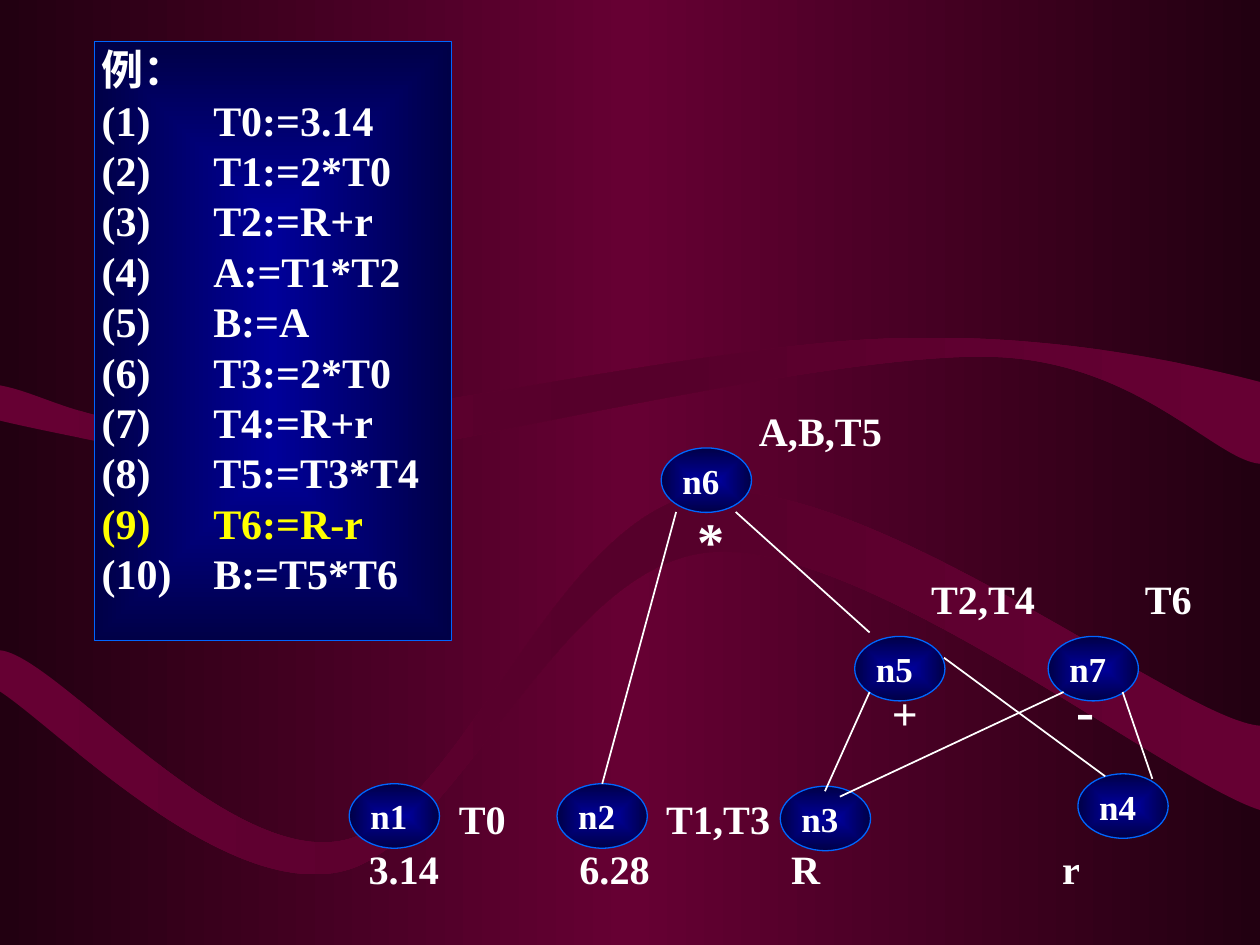
from lxml.etree import SubElement
from pptx import Presentation
from pptx.dml.color import RGBColor
from pptx.enum.shapes import MSO_CONNECTOR, MSO_SHAPE
from pptx.enum.text import MSO_ANCHOR, PP_ALIGN
from pptx.oxml import parse_xml
from pptx.oxml.ns import nsdecls, qn
from pptx.util import Cm, Pt

WHITE = RGBColor(0xFF, 0xFF, 0xFF)
YELLOW = RGBColor(0xFF, 0xFF, 0x00)
EDGE = RGBColor(0x00, 0x66, 0xFF)
NIGHT = RGBColor(0x22, 0x00, 0x11)
WINE = RGBColor(0x66, 0x00, 0x33)
PLUM = RGBColor(0x56, 0x00, 0x2B)
BLUE = RGBColor(0x00, 0x00, 0x99)
NAVY = RGBColor(0x00, 0x00, 0x47)
FONT = "Times New Roman"

HEAD = "例："
CODE = ["T0:=3.14", "T1:=2*T0", "T2:=R+r", "A:=T1*T2", "B:=A", "T3:=2*T0",
        "T4:=R+r", "T5:=T3*T4", "T6:=R-r", "B:=T5*T6"]
MARKED = 9

# Lengths are in cm.
NODE_W, NODE_H = 1.82, 1.3
NODES = {"n1": (7.04, 15.8), "n2": (11.23, 15.8), "n3": (15.73, 15.85),
         "n4": (21.73, 15.6), "n5": (17.23, 12.83), "n6": (13.33, 9.03),
         "n7": (21.13, 12.83)}
LINES = [  # start, end
    ((19.03, 13.26), (22.28, 15.65)),
    ((14.83, 10.32), (17.53, 12.75)),
    ((17.53, 13.95), (16.63, 15.95)),
    ((21.44, 13.95), (16.93, 16.06)),
    ((22.63, 13.95), (23.23, 15.7)),
]
STEM = (13.63, 10.32)  # start of the line from n6 to n2
LABELS = [  # box left, top, width, text size, then (left, text) pairs
    (3.38, 8.19, 14.6, 23, [(15.3, "A,B,T5")]),
    (13.79, 10.23, 0.9, 31, [(14.07, "*")]),
    (3.38, 11.58, 20.8, 23, [(18.77, "T2,T4"), (23.08, "T6")]),
    (17.98, 13.81, 3.5, 26, [(17.98, "+")]),
    (21.44, 13.64, 0.7, 31, [(21.71, "-")]),
    (3.38, 16.01, 12.3, 23, [(9.25, "T0"), (13.43, "T1,T3")]),
    (3.38, 17.02, 18.5, 23,
     [(7.43, "3.14"), (11.68, "6.28"), (15.95, "R"), (21.41, "r")]),
]
# Each ribbon has two long edges: a start, then cubic curves of three points.
RIBBONS = [
    [[(0, 7.77), (0, 8.48)],
     [(0.94, 8.71), (4.45, 9.4), (5.64, 9.53),
      (6.83, 9.65), (4.83, 9.63), (7.16, 9.25),
      (9.53, 8.84), (16.76, 7.16), (19.81, 7.19),
      (22.86, 7.19), (24.46, 9.27), (25.4, 9.35)],
     [(25.4, 7.7)],
     [(24.13, 7.37), (21.23, 6.68), (17.81, 6.83),
      (14.38, 6.96), (7.8, 8.43), (4.83, 8.59),
      (1.85, 8.74), (1.02, 7.95), (0, 7.77)]],
    [[(0, 13.11), (0, 13.94)],
     [(1.14, 14.68), (4.42, 18.06), (6.83, 17.58),
      (9.22, 17.12), (11.25, 11.33), (14.35, 11.13),
      (17.45, 10.9), (23.55, 15.75), (25.4, 16.33)],
     [(25.4, 14.63)],
     [(23.83, 14.53), (17.55, 9.58), (14.27, 9.93),
      (11.2, 10.31), (9.32, 16.41), (6.93, 16.94),
      (4.55, 17.45), (1.14, 13.21), (0, 13.11)]],
]


def grade(owner, fill, colors, radial=False):
    """Fill with evenly spaced colours, left to right or from the centre."""
    fill.solid()
    old = owner.find(".//" + qn("a:solidFill"))
    grad = parse_xml(f'<a:gradFill {nsdecls("a")} rotWithShape="1"/>')
    stops = SubElement(grad, qn("a:gsLst"))
    for i, color in enumerate(colors):
        stop = SubElement(stops, qn("a:gs"),
                          pos=str(100000 * i // (len(colors) - 1)))
        SubElement(stop, qn("a:srgbClr"), val=str(color))
    if radial:
        path = SubElement(grad, qn("a:path"), path="rect")
        SubElement(path, qn("a:fillToRect"), l="50000", t="50000",
                   r="50000", b="50000")
    else:
        SubElement(grad, qn("a:lin"), ang="0", scaled="1")
    old.getparent().replace(old, grad)


def bend(legs):
    """Turn each three line segments into one cubic curve."""
    for i in range(0, len(legs), 3):
        curve = parse_xml(f'<a:cubicBezTo {nsdecls("a")}/>')
        legs[i].addprevious(curve)
        for leg in legs[i:i + 3]:
            curve.append(leg[0])
            leg.getparent().remove(leg)


def ribbon(shapes, parts):
    pts = [(Cm(x), Cm(y)) for part in parts for x, y in part]
    build = shapes.build_freeform(*pts[0])
    build.add_line_segments(pts[1:], close=True)
    shape = build.convert_to_shape()
    legs = list(shape.element.iter(qn("a:lnTo")))
    mid = 1 + len(parts[1])
    bend(legs[1:mid])
    bend(legs[mid + 1:mid + 1 + len(parts[3])])
    shape.shadow.inherit = False
    grade(shape.element, shape.fill, [WINE, PLUM, WINE])
    shape.line.fill.background()


def style(para, size, color=WHITE):
    font = para.font
    font.name, font.size, font.bold = FONT, Pt(size), True
    font.color.rgb = color


def inset(frame, left, top):
    frame.margin_left = frame.margin_right = Cm(left)
    frame.margin_top = frame.margin_bottom = Cm(top)


def stops(para, spots):
    """Set left tab stops."""
    tabs = SubElement(para._p.get_or_add_pPr(), qn("a:tabLst"))
    for spot in spots:
        SubElement(tabs, qn("a:tab"), pos=str(Cm(spot)), algn="l")


def panel(shapes, kind, x, y, w, h):
    """Blue shape with a bright centre."""
    shape = shapes.add_shape(kind, Cm(x), Cm(y), Cm(w), Cm(h))
    shape.shadow.inherit = False
    grade(shape.element, shape.fill, [BLUE, NAVY], radial=True)
    shape.line.color.rgb = EDGE
    shape.line.width = Pt(0.75)
    return shape


def link(shapes, start, end):
    line = shapes.add_connector(MSO_CONNECTOR.STRAIGHT,
                                *(Cm(v) for v in start + end))
    line.line.color.rgb = WHITE
    line.line.width = Pt(1)
    SubElement(line.element.spPr, qn("a:effectLst"))
    return line


def label(shapes, x, y, width, size, items):
    """One row of words, each at its own left edge."""
    box = shapes.add_textbox(Cm(x), Cm(y), Cm(width), Cm(size * 0.042))
    frame = box.text_frame
    inset(frame, 0, 0)
    first = items[0][0]
    frame.margin_left = Cm(first - x)
    frame.word_wrap = True
    frame.text = "\t".join(text for _, text in items)
    para = frame.paragraphs[0]
    if len(items) > 1:
        stops(para, [left - first for left, _ in items[1:]])
    style(para, size)


def node(shapes, name, x, y):
    shape = panel(shapes, MSO_SHAPE.OVAL, x, y, NODE_W, NODE_H)
    frame = shape.text_frame
    inset(frame, 0, 0)
    frame.margin_left = Cm(0.16)
    frame.word_wrap = False
    frame.vertical_anchor = MSO_ANCHOR.MIDDLE
    frame.text = name
    frame.paragraphs[0].alignment = PP_ALIGN.LEFT
    style(frame.paragraphs[0], 20)
    return shape


def listing(shapes):
    frame = panel(shapes, MSO_SHAPE.RECTANGLE, 1.91, 0.84, 7.19, 12.07).text_frame
    inset(frame, 0.14, 0.04)
    frame.vertical_anchor = MSO_ANCHOR.TOP
    rows = [HEAD] + [f"({i})\t{code}" for i, code in enumerate(CODE, 1)]
    frame.text = "\n".join(rows)
    for i, para in enumerate(frame.paragraphs):
        para.alignment = PP_ALIGN.LEFT
        para.line_spacing = Pt(28.8)
        stops(para, [2.25])
        style(para, 24, YELLOW if i == MARKED else WHITE)


def main():
    deck = Presentation()
    deck.slide_width, deck.slide_height = Cm(25.4), Cm(19.05)
    slide = deck.slides.add_slide(deck.slide_layouts[6])
    shapes = slide.shapes
    grade(slide.element, slide.background.fill, [NIGHT, WINE, NIGHT])
    for parts in RIBBONS:
        ribbon(shapes, parts)
    for row in LABELS:
        label(shapes, *row)
    ovals = {name: node(shapes, name, *spot) for name, spot in NODES.items()}
    for start, end in LINES:
        link(shapes, start, end)
    link(shapes, STEM, NODES["n2"]).end_connect(ovals["n2"], 0)
    listing(shapes)
    deck.save("out.pptx")


if __name__ == "__main__":
    main()
